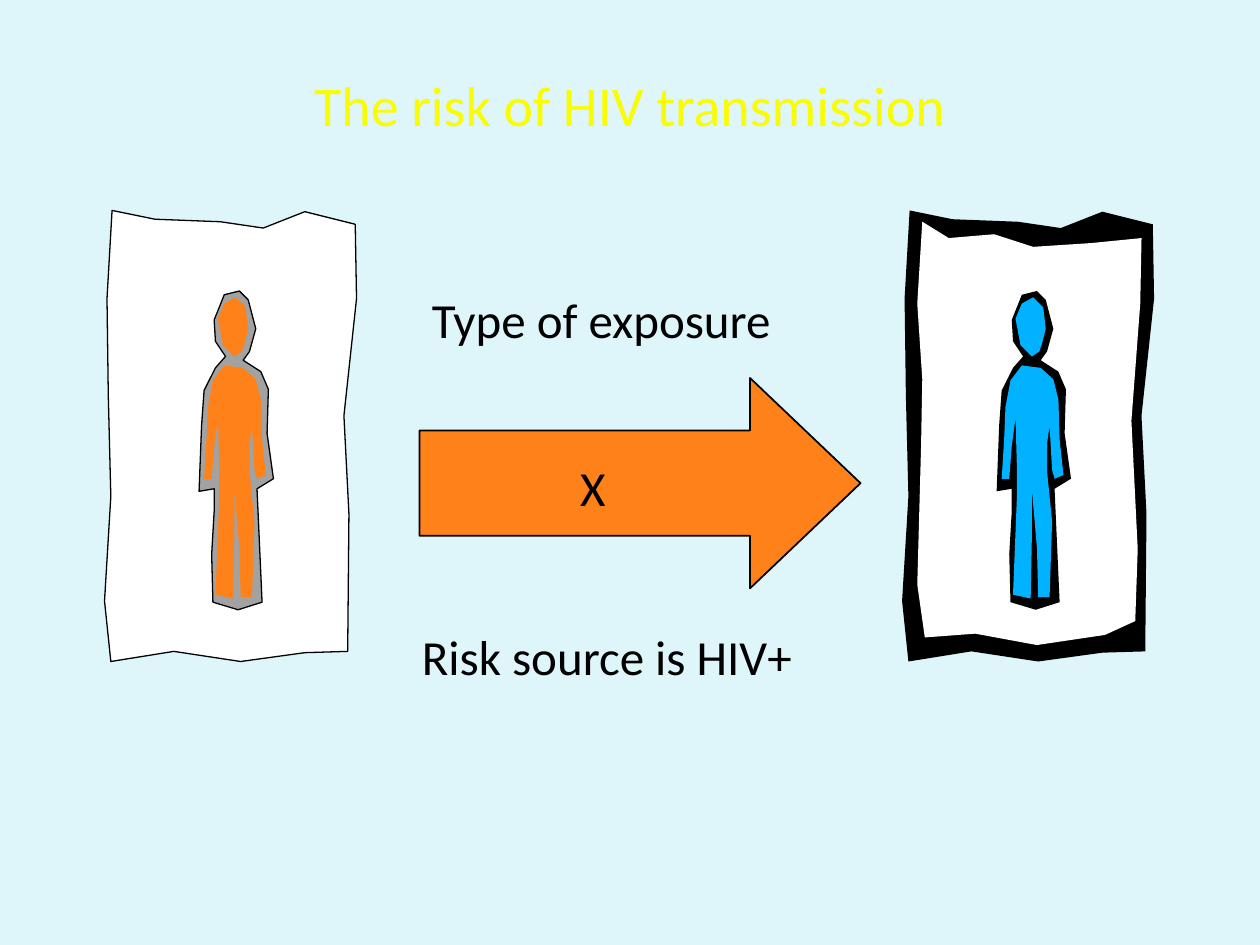
"""Build the slide on the risk of HIV transmission between two people."""
from lxml import etree
from pptx import Presentation, util as u
from pptx.dml.color import RGBColor
from pptx.enum import shapes, text
from pptx.oxml.ns import qn

FRAME = [
    (123, 174), (175, 176), (209, 181), (242, 168), (282, 178), (283, 237),
    (273, 330), (277, 408), (276, 517), (242, 518), (191, 525), (138, 517),
    (88, 525), (83, 477), (88, 394), (86, 314), (85, 237), (89, 167),
]
INNER_FRAME = [
    (866, 193), (906, 189), (905, 241), (898, 334), (903, 436), (901, 493),
    (877, 504), (823, 512), (774, 503), (734, 506), (728, 464), (731, 355),
    (732, 301), (728, 241), (732, 176), (753, 189), (789, 186), (820, 196),
]
SILHOUETTE = [
    (217, 380), (212, 344), (213, 309), (207, 295), (193, 286), (198, 279),
    (203, 261), (197, 238), (190, 231), (178, 234), (170, 254), (171, 271),
    (179, 283), (171, 292), (162, 310), (160, 338), (158, 390), (170, 388),
    (170, 406), (168, 440), (169, 478), (189, 484), (208, 478), (204, 388),
]
HEAD = [
    (178, 241), (173, 253), (177, 274), (186, 283), (192, 279), (194, 273),
    (197, 261), (195, 244), (187, 236),
]
BODY = [
    (198, 352), (200, 338), (202, 373), (204, 380), (211, 377), (208, 349),
    (207, 317), (203, 301), (193, 292), (178, 290), (169, 302), (165, 323),
    (164, 348), (162, 380), (168, 380), (170, 354), (173, 332), (174, 368),
    (174, 397), (171, 472), (185, 475), (186, 424), (186, 389), (190, 435),
    (191, 474), (200, 474), (202, 414), (198, 374),
]
BLACK, WHITE, ORANGE, BLUE = "000000", "FFFFFF", "FF8119", "00B2FF"
RECIPIENT_SHIFT = 6.33


def paint(fill, colour):
    """Make a fill solid in the given hex colour."""
    fill.solid()
    fill.fore_color.rgb = RGBColor.from_string(colour)


class SlideBuilder:
    """Hold the style and the current slide, and add elements to it."""

    font = "Calibri"

    def __init__(self, slide, background):
        self.slide = slide
        paint(slide.background.fill, background)

    def style(self, shape, fill, line_width=None, opacity=None):
        """Set the fill and the optional black outline of a shape."""
        shape.shadow.inherit = False
        paint(shape.fill, fill)
        if opacity is not None:
            colour = shape.fill._xPr.find(qn("a:solidFill"))[0]
            etree.SubElement(colour, qn("a:alpha"), val=str(opacity * 1000))
        if line_width is None:
            shape.line.fill.background()
        else:
            paint(shape.line.fill, BLACK)
            shape.line.width = u.Pt(line_width)

    def outline(self, points, fill, shift=0, **style):
        """Add a closed outline given in hundredths of an inch."""
        builder = self.slide.shapes.build_freeform(*points[0], scale=u.Inches(0.01))
        builder.add_line_segments(points[1:], close=True)
        self.style(builder.convert_to_shape(u.Inches(shift), 0), fill, **style)

    def person(self, colour, edge, shift=0, **edge_style):
        """Add a standing person with a wide edge."""
        self.outline(SILHOUETTE, edge, shift, **edge_style)
        for part in (HEAD, BODY):
            self.outline(part, colour, shift)

    def arrow(self, left, top, width, height, fill):
        """Add a block arrow pointing right."""
        shape = self.slide.shapes.add_shape(
            shapes.MSO_SHAPE.RIGHT_ARROW, *map(u.Inches, (left, top, width, height)))
        shape.adjustments[0], shape.adjustments[1] = 0.5, 0.525
        self.style(shape, fill, line_width=1)

    def label(self, wording, left, top, width, height=0.57, size=28, colour=BLACK,
              align=text.PP_ALIGN.LEFT, anchor=text.MSO_ANCHOR.TOP):
        """Add one line of text."""
        shape = self.slide.shapes.add_textbox(*map(u.Inches, (left, top, width, height)))
        frame = shape.text_frame
        frame.word_wrap = True
        frame.vertical_anchor = anchor
        frame.text = wording
        paragraph = frame.paragraphs[0]
        paragraph.alignment = align
        font = paragraph.runs[0].font
        font.name, font.size = self.font, u.Pt(size)
        paint(font.fill, colour)


def main():
    """Build and save the presentation."""
    presentation = Presentation()
    presentation.slide_width, presentation.slide_height = u.Inches(10), u.Inches(7.5)
    slide = presentation.slides.add_slide(presentation.slide_layouts[6])
    builder = SlideBuilder(slide, "DEF5FA")
    centre = text.PP_ALIGN.CENTER

    builder.label("The risk of HIV transmission", 0.25, 0.33, 9.5, 1, size=32,
                  colour="FAFD00", align=centre, anchor=text.MSO_ANCHOR.MIDDLE)

    builder.outline(FRAME, WHITE, line_width=0.75)
    builder.person(ORANGE, "464646", line_width=0.75, opacity=50)

    builder.outline(FRAME, BLACK, RECIPIENT_SHIFT)
    builder.outline(INNER_FRAME, WHITE)
    builder.person(BLUE, BLACK, RECIPIENT_SHIFT)

    builder.arrow(3.33, 3, 3.5, 1.67, ORANGE)
    builder.label("Type of exposure", 3.33, 2.25, 3.5)
    builder.label("Risk source is HIV+", 3.25, 4.92, 3.67)
    builder.label("X", 3.83, 3.58, 1.75, align=centre)

    presentation.save("out.pptx")


if __name__ == "__main__":
    main()
